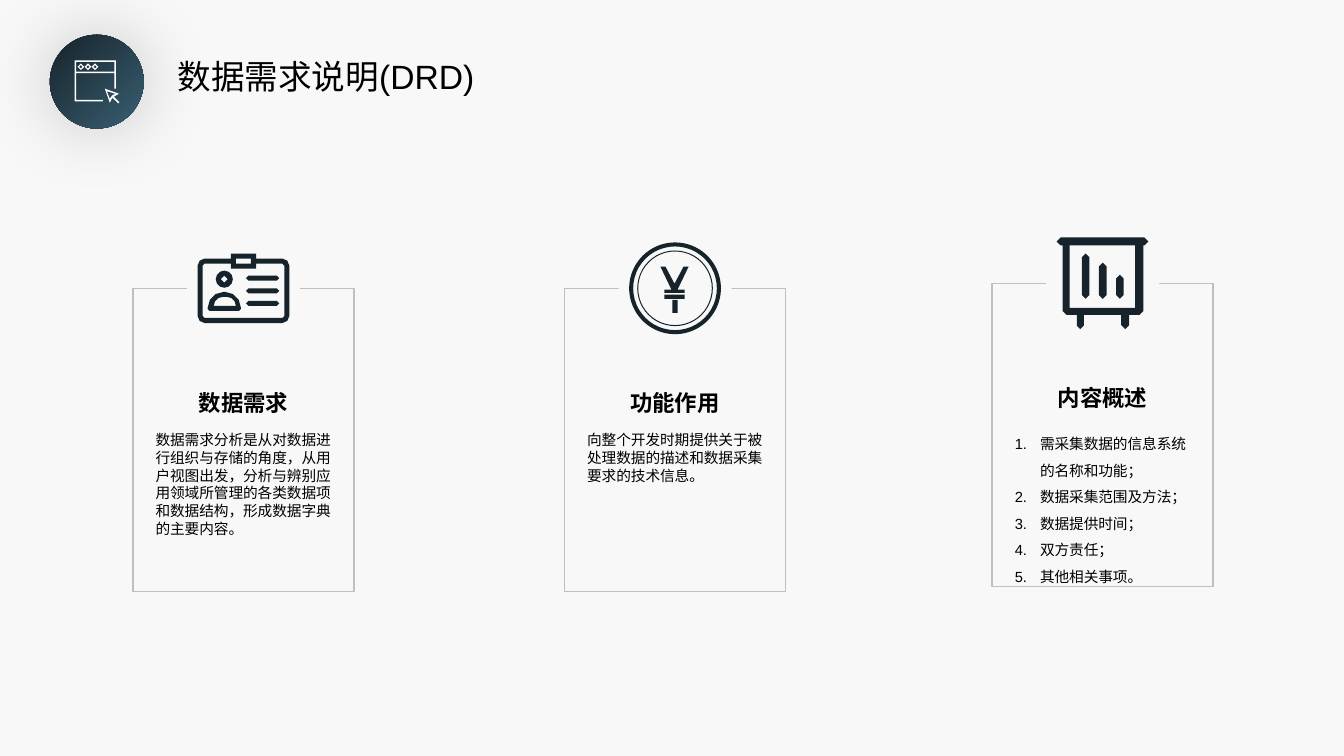
from lxml import etree
from pptx import Presentation
from pptx.dml.color import RGBColor
from pptx.enum.shapes import MSO_SHAPE as Preset
from pptx.enum.text import MSO_ANCHOR as Anchor, MSO_AUTO_SIZE as AutoSize, PP_ALIGN as Align
from pptx.oxml.ns import qn
from pptx.util import Inches, Pt

COLORS = {"paper": "F8F8F8", "ink": "17232B", "teal": "395F72", "white": "FFFFFF",
          "black": "000000", "border": "BFBFBF"}
LATIN, HEADING_FONT = "Arial", "Noto Sans CJK SC"


def box(left, top, right, bottom, radius=0):
    return [(left, top, radius), (right, top, radius),
            (right, bottom, radius), (left, bottom, radius)]


# Icon outlines in hundredths of an inch: corners as (x, y) or (x, y, radius).
BROWSER = [
    [(0, 0), (41, 0), (41, 28), (39.5, 28), (39.5, 12.7), (1.5, 12.7),
     (1.5, 39), (28, 39), (28, 40.5), (0, 40.5)],
    box(1.5, 1.5, 39.5, 11.2),
    *[box(x, 3, x + 6.6, 9.6, 3.3) for x in (3, 10, 17)],
    *[box(x + 1.6, 4.6, x + 5, 8, 1.7) for x in (3, 10, 17)],
    [(30, 28), (44, 33), (39, 36), (44.5, 41.5), (43.3, 42.5), (37.5, 37), (35, 42)],
    [(32, 30.5), (35, 38), (37, 35), (40.3, 33)],
]
ID_CARD = [
    [(0, 16, 7), (33, 16), (33, 11), (58, 11), (58, 16), (91, 16, 7),
     (91, 80, 7), (0, 80, 7)],
    [(5, 21, 2), (33, 21), (33, 26), (58, 26), (58, 21), (86, 21, 2),
     (86, 75, 2), (5, 75, 2)],
    box(38, 16, 53, 21),
    *[box(48, y, 81, y + 5, 2.5) for y in (33, 45.5, 58)],
    box(18, 28, 35, 45, 8.5), box(23, 33, 30, 40, 3.5),
    [(10, 68, 2), (10, 49, 16), (43, 49, 16), (43, 68, 2)],
    [(16, 63), (16, 54, 9), (38, 54, 9), (38, 63)],
]
YUAN = [
    [(31, 24), (36, 24), (45, 41), (54, 24), (59, 24), (48, 47), (55, 47), (55, 50),
     (35, 50), (35, 47), (42, 47)],
    box(35, 52, 55, 56), box(43, 57, 48, 70),
]
COIN_RINGS = [(0.91, 0.04), (0.75, 0.01)]  # diameter, thickness
BOARD = [
    [(0, 0, 4), (91, 0, 4), (91, 8, 4), (86, 8), (86, 77, 4), (72, 77), (72, 91, 4),
     (64, 91, 4), (64, 77), (27, 77), (27, 91, 3.5), (20, 91, 3.5), (20, 77), (6, 77, 4),
     (6, 8), (0, 8, 4)],
    box(13, 8, 78, 70),
    *[box(x, top, x + 7.5, 61, 3.75) for x, top in ((25, 16), (42, 25), (59, 37))],
]

TITLE = "数据需求说明(DRD)"
CARDS = [
    {"left": 1.32, "top": 2.86, "icon": ID_CARD, "heading": "数据需求",
     "text": "数据需求分析是从对数据进行组织与存储的角度，从用户视图出发，分析与辨别应用领域所管理的"
             "各类数据项和数据结构，形成数据字典的主要内容。"},
    {"left": 5.6, "top": 2.86, "icon": YUAN, "rings": COIN_RINGS, "heading": "功能作用",
     "text": "向整个开发时期提供关于被处理数据的描述和数据采集要求的技术信息。"},
    {"left": 9.84, "top": 2.81, "icon": BOARD, "heading": "内容概述",
     "items": ["需采集数据的信息系统的名称和功能；", "数据采集范围及方法；", "数据提供时间；",
               "双方责任；", "其他相关事项。"]},
]
CARD_W, CARD_H = 2.19, 3.01
GAP_W, GAP_H = 1.12, 1.34
ICON = 0.91
TEXT_W, HEADING_W = 1.94, 2.24

prs = Presentation()
prs.slide_width, prs.slide_height = Inches(13.33), Inches(7.5)
slide = prs.slides.add_slide(prs.slide_layouts[1])
title, body = slide.placeholders


def rgb(name):
    return RGBColor.from_string(COLORS[name])


def write(holder, lines, at, size, font=LATIN, bold=False, align=Align.LEFT,
          spacing=1.0, numbered=False):
    holder.left, holder.top, holder.width, holder.height = map(Inches, at)
    frame = holder.text_frame
    frame.word_wrap, frame.auto_size = True, AutoSize.NONE
    frame.vertical_anchor = Anchor.TOP
    for index, line in enumerate(lines):
        para = frame.add_paragraph() if index else frame.paragraphs[0]
        para.alignment, para.line_spacing = align, spacing
        para.space_before = Pt(0)
        if numbered:
            props = para._p.get_or_add_pPr()
            props.set("marL", str(Inches(0.25)))
            props.set("indent", str(-Inches(0.25)))
            etree.SubElement(props, qn("a:buFont"), typeface=HEADING_FONT)
            etree.SubElement(props, qn("a:buAutoNum"), type="arabicPeriod")
        run = para.add_run()
        run.text = line
        run.font.size, run.font.bold, run.font.name = Pt(size), bold, font
        run.font.color.rgb = rgb("black")
        etree.SubElement(run.font._element, qn("a:ea"), typeface=font)


def text_box():
    return slide.shapes.add_textbox(0, 0, 0, 0)


def paint(drawn, fill=None, line=None):
    drawn.shadow.inherit = False
    if fill:
        drawn.fill.solid()
        drawn.fill.fore_color.rgb = rgb(fill)
    else:
        drawn.fill.background()
    if line:
        drawn.line.color.rgb, drawn.line.width = rgb(line), Pt(1)
    else:
        drawn.line.fill.background()
    return drawn


def centred(preset, x, y, width, height, **colors):
    at = map(Inches, (x - width / 2, y - height / 2, width, height))
    return paint(slide.shapes.add_shape(preset, *at), **colors)


def rounded(corners):
    """Turn corners with radii into a short list of points in EMU."""
    points = []
    for i, (x, y, *rest) in enumerate(corners):
        radius = rest[0] if rest else 0
        if not radius:
            points.append((x, y))
            continue
        ends = []
        for nx, ny, *_ in (corners[i - 1], corners[(i + 1) % len(corners)]):
            reach = radius / ((nx - x) ** 2 + (ny - y) ** 2) ** 0.5
            ends.append(((nx - x) * reach, (ny - y) * reach))
        (ax, ay), (bx, by) = ends
        steps = 1 if radius < 4.5 else 2 if radius < 8 else 3
        for step in range(steps + 1):
            t = step / steps
            a = (1 - t) ** 3 + 3 * (1 - t) ** 2 * t * 0.45
            b = t ** 3 + 3 * (1 - t) * t ** 2 * 0.45
            points.append((x + a * ax + b * bx, y + a * ay + b * by))
    # Arcs that meet share an end, which is kept once.
    return list(dict.fromkeys((Inches(round(x, 2) / 100), Inches(round(y, 2) / 100))
                              for x, y in points))


def icon(outlines, left, top, color):
    first, *others = map(rounded, outlines)
    builder = slide.shapes.build_freeform(*first[0])
    builder.add_line_segments(first[1:], close=True)
    for points in others:
        builder.move_to(*points[0])
        builder.add_line_segments(points[1:], close=True)
    paint(builder.convert_to_shape(Inches(left), Inches(top)), fill=color)


def glow(drawn):
    """Add a soft, centred shadow."""
    effects = drawn._element.spPr.find(qn("a:effectLst"))
    outer = etree.SubElement(effects, qn("a:outerShdw"), blurRad=str(Pt(53)), dist="0",
                             dir="0", algn="ctr", rotWithShape="0")
    tint = etree.SubElement(outer, qn("a:srgbClr"), val=COLORS["black"])
    etree.SubElement(tint, qn("a:alpha"), val="20000")


slide.background.fill.solid()
slide.background.fill.fore_color.rgb = rgb("paper")

badge = centred(Preset.OVAL, 0.96, 0.81, 0.93, 0.93)
badge.fill.gradient()
badge.fill.gradient_angle = 315
for stop, color, position in zip(badge.fill.gradient_stops, ("ink", "teal"), (0, 1)):
    stop.color.rgb, stop.position = rgb(color), position
glow(badge)
icon(BROWSER, 0.74, 0.6, "white")
write(title, [TITLE], (1.66, 0.5, 3.6, 0.5), 24)

for card in CARDS:
    top, middle = card["top"], card["left"] + CARD_W / 2
    centred(Preset.RECTANGLE, middle, top + CARD_H / 2, CARD_W, CARD_H, line="border")
    centred(Preset.OVAL, middle, top, GAP_W, GAP_H, fill="paper")
    for diameter, thickness in card.get("rings", []):
        ring = centred(Preset.DONUT, middle, top, diameter, diameter, fill="ink")
        ring.adjustments[0] = thickness / diameter
    icon(card["icon"], middle - ICON / 2, top - ICON / 2, "ink")
    write(text_box(), [card["heading"]], (middle - HEADING_W / 2, top + 0.9, HEADING_W, 0.4),
          16, font=HEADING_FONT, bold=True, align=Align.CENTER, spacing=1.2)
    text_left, text_top = middle - TEXT_W / 2, top + 1.37
    if "items" in card:
        write(body, card["items"], (text_left, text_top, TEXT_W, 1.96), 10.5,
              spacing=1.5, numbered=True)
    else:
        write(text_box(), [card["text"]], (text_left, text_top, TEXT_W, 1.16), 10.5)

prs.save("out.pptx")
